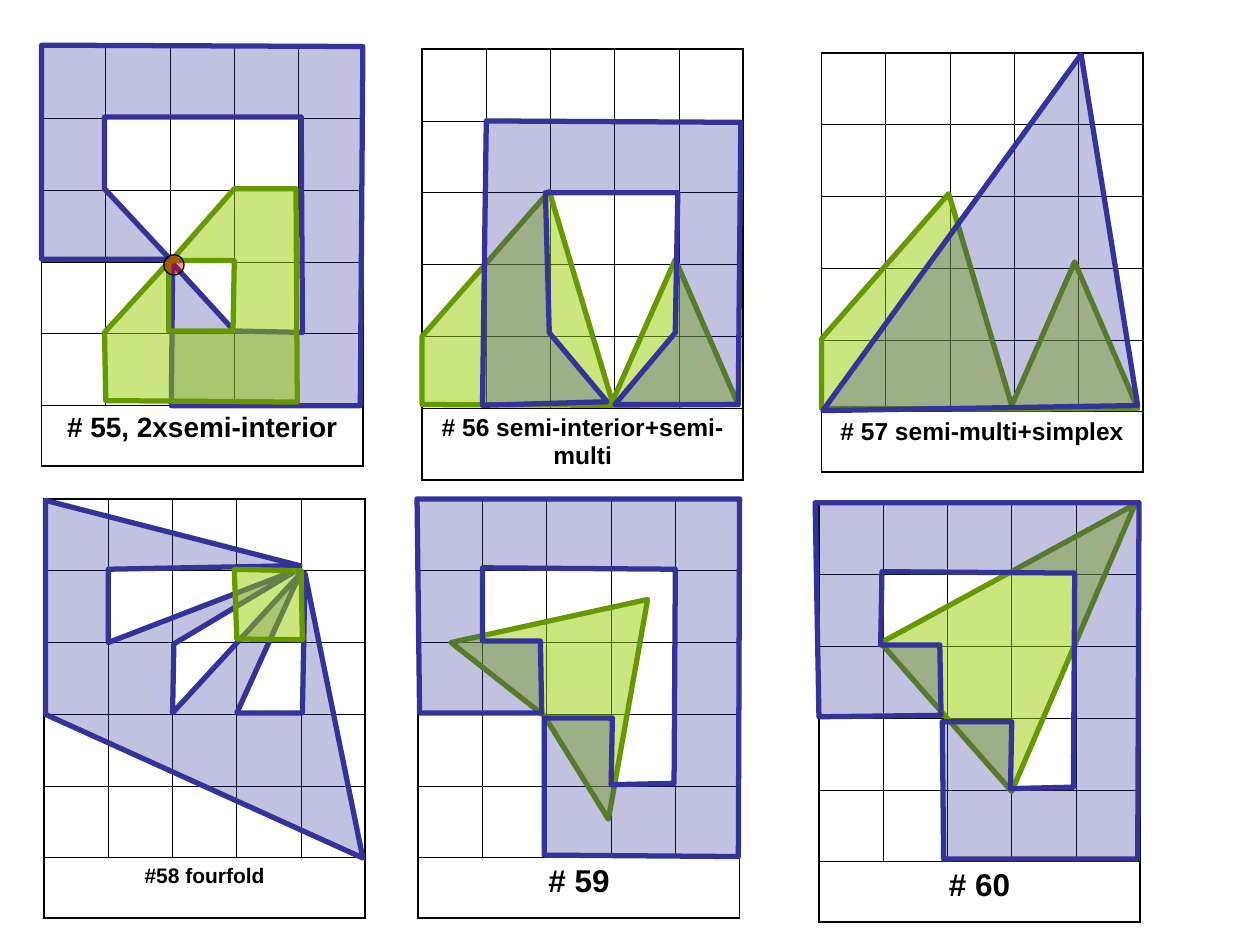
"""Build a slide of six captioned grids with overlapping polygons."""
from lxml import etree
from pptx import Presentation
from pptx.dml.color import RGBColor
from pptx.enum.shapes import MSO_SHAPE
from pptx.enum.text import PP_ALIGN
from pptx.oxml.ns import qn
from pptx.util import Inches, Pt

OVAL = MSO_SHAPE.OVAL
CENTER = PP_ALIGN.CENTER
BLACK = RGBColor(0x00, 0x00, 0x00)
BLUE = RGBColor(0x33, 0x33, 0x99)
LIME = RGBColor(0x99, 0xCC, 0x00)
GREEN = RGBColor(0x66, 0x99, 0x00)
RED = RGBColor(0xFF, 0x00, 0x00)

FONT = "Arial"
GRID = 5
COLUMN, ROW = 0.51, 0.57
INNER_LINE, OUTER_LINE = 0.45, 1.08
DOT_SIZE = 0.16
BLUE_STYLE = (BLUE, 30, BLUE, 3)
GREEN_STYLE = (LIME, 50, GREEN, 3)
DOT_STYLE = (RED, 40, BLACK, 0.75)

PANELS = [
    {"caption": "# 55, 2xsemi-interior", "size": 16, "origin": (0.33, 0.37), "caption_row": 0.48,
     "polygons": [
         (BLUE_STYLE, [(4.96, 5), (2.02, 5), (2.04, 3.02), (3, 3.96), (4.06, 3.98), (4.04, 0.98),
                       (0.98, 0.98), (0.98, 1.98), (2, 2.96), (0, 2.96), (0, -0.02), (5, 0)]),
         (GREEN_STYLE, [(3.96, 1.98), (3.98, 4.95), (1, 4.93), (0.98, 3.98), (1.98, 3),
                        (1.98, 3.96), (2.98, 3.96), (3, 2.98), (2.02, 2.98), (3, 1.98)])],
     "dots": [(2.06, 3.04)]},
    {"caption": "# 56 semi-interior+semi-multi", "size": 14, "origin": (3.35, 0.39), "caption_row": 0.57,
     "polygons": [
         (GREEN_STYLE, [(1.98, 1.98), (2.96, 4.91), (3.94, 2.93), (4.92, 4.95), (2.96, 4.96),
                        (0, 4.95), (0, 4)]),
         (BLUE_STYLE, [(4.92, 4.95), (3, 4.95), (3.94, 3.95), (3.98, 2), (1.92, 2), (1.98, 3.95),
                       (2.88, 4.91), (0.94, 4.96), (1, 1), (4.96, 1.02)])],
     "dots": []},
    {"caption": "# 57 semi-multi+simplex", "size": 14, "origin": (6.52, 0.42), "caption_row": 0.48,
     "polygons": [
         (GREEN_STYLE, [(1.98, 1.96), (2.96, 4.91), (3.94, 2.91), (4.92, 4.95), (2.96, 4.96),
                        (0, 4.95), (0, 3.98)]),
         (BLUE_STYLE, [(4.04, 0.02), (4.92, 4.91), (0.02, 4.98)])],
     "dots": []},
    {"caption": "#58 fourfold", "size": 12, "origin": (0.35, 3.96), "caption_row": 0.48,
     "polygons": [
         (BLUE_STYLE, [(1, 0.98), (1, 2), (3.96, 0.98), (2.02, 2.02), (2, 2.98), (3.98, 1.05),
                       (3, 2.98), (4.02, 2.98), (4.06, 1.04), (4.96, 5), (0.02, 3), (0.02, 0.02),
                       (3.98, 0.93)]),
         (GREEN_STYLE, [(4, 1), (4.02, 1.96), (3, 1.95), (2.96, 0.98)])],
     "dots": []},
    {"caption": "# 59", "size": 18, "origin": (3.32, 3.96), "caption_row": 0.48,
     "polygons": [
         (GREEN_STYLE, [(3.57, 1.4), (2.96, 4.46), (1.96, 3.02), (0.51, 2)]),
         (BLUE_STYLE, [(4.98, 4.98), (1.96, 4.96), (1.96, 3.05), (3.02, 3.05), (3, 3.98),
                       (3.98, 3.96), (4, 0.98), (1, 0.96), (1, 1.98), (1.9, 1.98), (1.92, 2.98),
                       (0.02, 2.98), (-0.02, 0), (5, 0)])],
     "dots": []},
    {"caption": "# 60", "size": 18, "origin": (6.5, 3.99), "caption_row": 0.48,
     "polygons": [
         (GREEN_STYLE, [(4.92, 0.02), (3, 4.02), (0.96, 1.95)]),
         (BLUE_STYLE, [(4.96, 4.96), (1.94, 4.96), (1.92, 3.05), (3, 3.05), (2.98, 3.98),
                       (3.96, 3.96), (3.98, 0.98), (0.98, 0.96), (0.96, 1.98), (1.88, 1.98),
                       (1.9, 2.96), (0, 2.98), (-0.06, 0), (4.98, 0)])],
     "dots": []},
]


def set_borders(cell, outer_sides):
    properties = cell._tc.get_or_add_tcPr()
    for side in "LRTB":
        width = OUTER_LINE if side in outer_sides else INNER_LINE
        border = etree.SubElement(properties, qn(f"a:ln{side}"), w=str(Pt(width)))
        paint = etree.SubElement(border, qn("a:solidFill"))
        etree.SubElement(paint, qn("a:srgbClr"), val=str(BLACK))


def outer_sides(row, column):
    if row == GRID:
        return "LRB"
    edges = {"L": column == 0, "R": column == GRID - 1, "T": row == 0}
    return [side for side, on_edge in edges.items() if on_edge]


def add_grid(slide, panel):
    left, top = panel["origin"]
    height = GRID * ROW + panel["caption_row"]
    grid = slide.shapes.add_table(GRID + 1, GRID, Inches(left), Inches(top),
                                  Inches(GRID * COLUMN), Inches(height)).table
    grid.first_row = grid.horz_banding = False
    for column in grid.columns:
        column.width = Inches(COLUMN)
    for index, row in enumerate(grid.rows):
        row.height = Inches(panel["caption_row"] if index == GRID else ROW)
        for column, cell in enumerate(row.cells):
            set_borders(cell, outer_sides(index, column))
            cell.fill.background()
    caption_cell = grid.cell(GRID, 0)
    caption_cell.merge(grid.cell(GRID, GRID - 1))
    paragraph = caption_cell.text_frame.paragraphs[0]
    paragraph.alignment = CENTER
    run = paragraph.add_run()
    run.text = panel["caption"]
    run.font.name, run.font.size, run.font.bold = FONT, Pt(panel["size"]), True
    run.font.color.rgb = BLACK


def paint_shape(shape, style):
    fill, opacity, line, width = style
    shape.shadow.inherit = False
    shape.fill.solid()
    shape.fill.fore_color.rgb = fill
    color = shape._element.spPr.find(qn("a:solidFill"))[0]
    etree.SubElement(color, qn("a:alpha"), val=str(opacity * 1000))
    shape.line.color.rgb = line
    shape.line.width = Pt(width)


def add_panel(slide, panel):
    left, top = panel["origin"]

    def place(point):
        return Inches(left + point[0] * COLUMN), Inches(top + point[1] * ROW)

    add_grid(slide, panel)
    for style, points in panel["polygons"]:
        start, *others = map(place, points)
        outline = slide.shapes.build_freeform(*start)
        outline.add_line_segments(others, close=True)
        paint_shape(outline.convert_to_shape(), style)
    for x, y in map(place, panel["dots"]):
        size = Inches(DOT_SIZE)
        dot = slide.shapes.add_shape(OVAL, x - size // 2, y - size // 2, size, size)
        paint_shape(dot, DOT_STYLE)


def main():
    deck = Presentation()
    deck.slide_width, deck.slide_height = Inches(10), Inches(7.5)
    slide = deck.slides.add_slide(deck.slide_layouts[6])
    for panel in PANELS:
        add_panel(slide, panel)
    deck.save("out.pptx")


if __name__ == "__main__":
    main()
